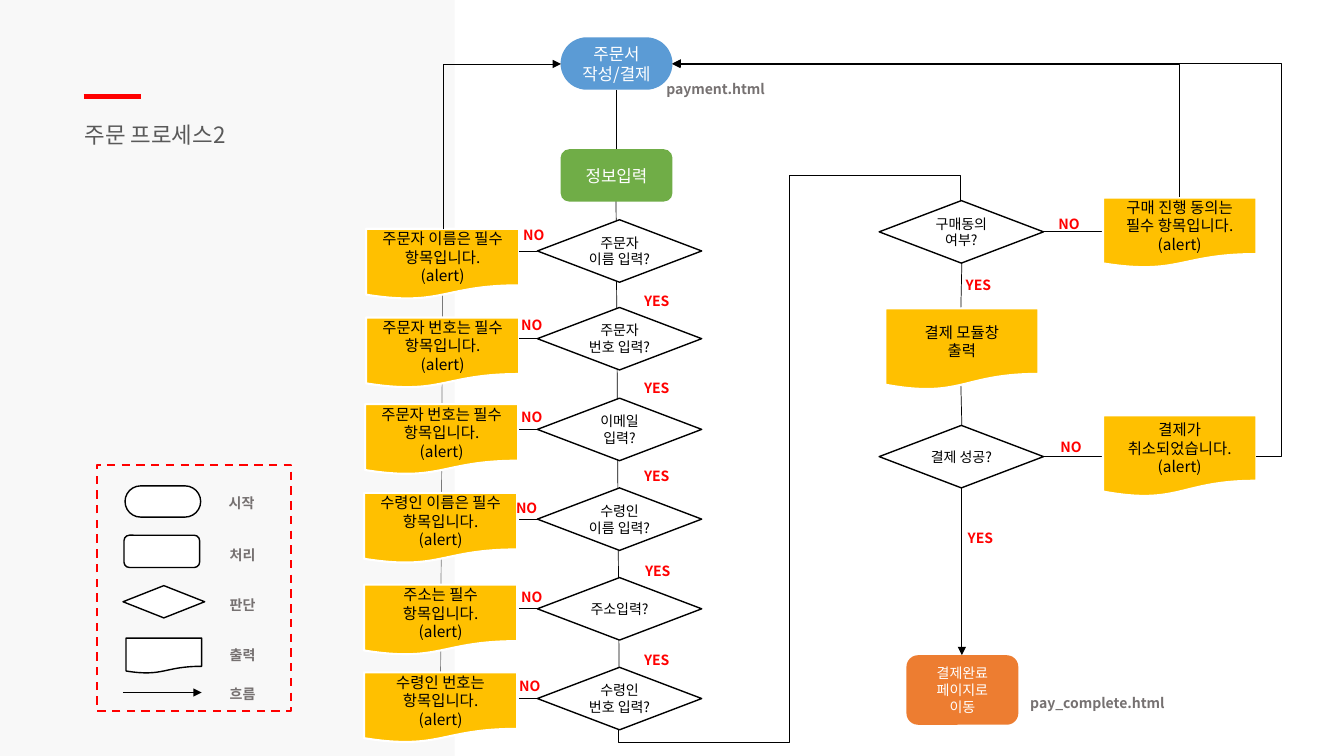
from dataclasses import dataclass

import lxml.etree
import pptx
import pptx.dml.color
import pptx.enum.dml
import pptx.enum.shapes
import pptx.enum.text
import pptx.oxml.ns
import pptx.shapes.connector
import pptx.slide
import pptx.text.text
import pptx.util

PX = 9144  # 100 px to the inch
FONT = "Noto Sans CJK KR"
BLACK, WHITE, RED, GREY, AMBER = "000000", "FFFFFF", "FF0000", "767171", "FFC000"
KIND = pptx.enum.shapes.MSO_SHAPE
ALIGN = pptx.enum.text.PP_ALIGN
ANCHOR = pptx.enum.text.MSO_ANCHOR
qn = pptx.oxml.ns.qn


@dataclass(frozen=True)
class Node:
    kind: KIND
    left: int
    top: int
    width: int
    height: int
    text: str = ""
    fill: str | None = WHITE
    outline: str | None = BLACK
    weight: float = 1
    size: int = 10
    color: str = BLACK
    corner: float | None = None


@dataclass(frozen=True)
class Label:
    text: str
    left: int
    top: int
    color: str = RED
    width: int = 126


@dataclass(frozen=True)
class Line:
    x1: int
    y1: int
    x2: int
    y2: int
    color: str = BLACK
    weight: float = 0.5
    arrow: bool = False


@dataclass(frozen=True)
class Elbow:
    """A bent connector: the line gives its corners before it is turned."""
    line: Line
    preset: str
    turn: int = 0
    adjust: tuple[int, ...] = ()


@dataclass(frozen=True)
class Check:
    """One input test: its diamond, the alert beside it and both answers."""
    question: str
    top: int
    alert: str
    alert_at: tuple[int, int]
    no_at: tuple[int, int]
    yes_at: tuple[int, int] | None


def px(n: int) -> pptx.util.Emu:
    return pptx.util.Emu(n * PX)


def rgb(color: str) -> pptx.dml.color.RGBColor:
    return pptx.dml.color.RGBColor.from_string(color)


def write(tf: pptx.text.text.TextFrame, text: str, size: int, color: str, bold: bool = False,
          align: ALIGN = ALIGN.LEFT, spacing: int | None = None) -> None:
    tf.word_wrap = True
    for i, line in enumerate(text.split("\n")):
        p = tf.add_paragraph() if i else tf.paragraphs[0]
        p.alignment = align
        if spacing:
            p.line_spacing = pptx.util.Pt(spacing)
        r = p.add_run()
        r.text = line
        r.font.size = pptx.util.Pt(size)
        r.font.bold = bold
        r.font.color.rgb = rgb(color)
        r.font.name = FONT
        lxml.etree.SubElement(r.font._element, qn("a:ea"), typeface=FONT)


def draw_node(s: pptx.slide.Slide, node: Node):
    sp = s.shapes.add_shape(node.kind, px(node.left), px(node.top), px(node.width), px(node.height))
    sp.shadow.inherit = False
    if node.corner is not None:
        sp.adjustments[0] = node.corner
    if node.fill:
        sp.fill.solid()
        sp.fill.fore_color.rgb = rgb(node.fill)
    else:
        sp.fill.background()
    if node.outline:
        sp.line.color.rgb = rgb(node.outline)
        sp.line.width = pptx.util.Pt(node.weight)
    else:
        sp.line.fill.background()
    if node.text:
        sp.text_frame.vertical_anchor = ANCHOR.MIDDLE
        write(sp.text_frame, node.text, node.size, node.color, align=ALIGN.CENTER)
    return sp


def draw_label(s: pptx.slide.Slide, label: Label) -> None:
    tb = s.shapes.add_textbox(px(label.left), px(label.top), px(label.width), px(27))
    tb.text_frame.auto_size = pptx.enum.text.MSO_AUTO_SIZE.SHAPE_TO_FIT_TEXT
    write(tb.text_frame, label.text, 10, label.color, bold=True, spacing=13)


def draw_line(s: pptx.slide.Slide, line: Line, bent: bool = False) -> pptx.shapes.connector.Connector:
    style = pptx.enum.shapes.MSO_CONNECTOR
    c = s.shapes.add_connector(style.ELBOW if bent else style.STRAIGHT,
                               px(line.x1), px(line.y1), px(line.x2), px(line.y2))
    c.line.color.rgb = rgb(line.color)
    c.line.width = pptx.util.Pt(line.weight)
    spPr = c._element.spPr
    if line.arrow:
        lxml.etree.SubElement(spPr.find(qn("a:ln")), qn("a:tailEnd"), type="triangle")
    lxml.etree.SubElement(spPr, qn("a:effectLst"))
    return c


def draw_elbow(s: pptx.slide.Slide, elbow: Elbow) -> None:
    spPr = draw_line(s, elbow.line, bent=True)._element.spPr
    if elbow.turn:
        spPr.find(qn("a:xfrm")).set("rot", str(elbow.turn * 60000))
    geom = spPr.find(qn("a:prstGeom"))
    geom.set("prst", elbow.preset)
    for i, value in enumerate(elbow.adjust, 1):
        lxml.etree.SubElement(geom.find(qn("a:avLst")), qn("a:gd"), name=f"adj{i}", fmla=f"val {value}")


def diamond(left: int, top: int, text: str) -> Node:
    return Node(KIND.DIAMOND, left, top, 163, 62, text)


def document(left: int, top: int, text: str, height: int = 70) -> Node:
    return Node(KIND.FLOWCHART_DOCUMENT, left, top, 152, height, text, AMBER, WHITE, 1.5, 11)


def step(left: int, top: int, height: int, text: str, fill: str, size: int = 12,
         corner: float | None = None) -> Node:
    return Node(KIND.ROUNDED_RECTANGLE, left, top, 111, height, text, fill, None,
                size=size, color=WHITE, corner=corner)


LEGEND = [
    Node(KIND.ROUNDED_RECTANGLE, 124, 482, 75, 31, corner=0.5),
    Node(KIND.ROUNDED_RECTANGLE, 123, 531, 75, 32),
    Node(KIND.DIAMOND, 122, 581, 81, 32),
    Node(KIND.FLOWCHART_DOCUMENT, 125, 633, 75, 35),
]
CHECKS = [
    Check("주문자\n이름 입력?", 218, "주문자 이름은 필수 항목입니다.", (363, 227), (509, 218), (629, 284)),
    Check("주문자\n번호 입력?", 305, "주문자 번호는 필수 항목입니다.", (363, 315), (507, 308), (629, 370)),
    Check("이메일\n입력?", 395, "주문자 번호는 필수 항목입니다.", (362, 401), (507, 399), (629, 458)),
    Check("수령인\n이름 입력?", 484, "수령인 이름은 필수 항목입니다.", (361, 489), (502, 489), (630, 552)),
    Check("주소입력?", 573, "주소는 필수 항목입니다.", (361, 580), (507, 578), (629, 640)),
    Check("수령인\n번호 입력?", 662, "수령인 번호는 항목입니다.", (361, 667), (505, 666), None),
]
NODES = [
    step(556, 37, 52, "주문서\n작성/결제", "5B9BD5", corner=0.5),
    step(556, 148, 52, "정보입력", "70AD47"),
    diamond(872, 199, "구매동의\n여부?"),
    document(878, 306, "결제 모듈창\n출력", 81),
    diamond(872, 422, "결제 성공?"),
    step(899, 650, 69, "결제완료\n페이지로\n이동", "ED7D31", 10),
    document(1094, 196, "구매 진행 동의는 필수 항목입니다.(alert)"),
    document(1094, 412, "결제가 취소되었습니다.\n(alert)", 81),
]
LINES = [
    Line(122, 687, 200, 687, weight=1, arrow=True),
    Line(611, 89, 611, 148),
    Line(611, 199, 614, 662),
    Line(954, 261, 953, 306),
    Line(953, 382, 954, 422),
    Line(954, 484, 954, 650, arrow=True),
    Line(1035, 230, 1094, 230),
    Line(1035, 453, 1094, 453),
]
ELBOWS = [
    Elbow(Line(580, 204, 416, 87, arrow=True), "bentConnector2", 90),
    Elbow(Line(1045, 631, 520, 292), "bentConnector5", 90, (-2400, 50000, 104800)),
    Elbow(Line(852, 381, 984, -122, arrow=True), "bentConnector2", 270),
    Elbow(Line(1246, 453, 667, 63, arrow=True), "bentConnector3", 0, (-4300,)),
]
LABELS = [
    Label("시작", 217, 484, GREY),
    Label("처리", 218, 536, GREY),
    Label("판단", 218, 586, GREY),
    Label("출력", 218, 635, GREY),
    Label("흐름", 218, 674, GREY),
    Label("payment.html", 651, 74, GREY, 142),
    Label("pay_complete.html", 1012, 683, GREY, 154),
    Label("NO", 1040, 208),
    Label("NO", 1042, 429),
    Label("YES", 948, 268),
    Label("YES", 950, 519),
]


def draw_heading(s: pptx.slide.Slide) -> None:
    panel = draw_node(s, Node(KIND.RECTANGLE, 0, 0, 451, 750, fill="F2F2F2", outline=None))
    tint = panel._element.spPr.find(qn("a:solidFill"))[0]
    lxml.etree.SubElement(tint, qn("a:alpha"), val="50000")
    title = s.shapes.title
    panel._element.addnext(title._element)
    title.left, title.top, title.width, title.height = px(74), px(111), px(243), px(38)
    title.text_frame.vertical_anchor = ANCHOR.TOP
    title.text_frame.auto_size = pptx.enum.text.MSO_AUTO_SIZE.SHAPE_TO_FIT_TEXT
    write(title.text_frame, "주문 프로세스2", 16, "595959", spacing=22)
    draw_line(s, Line(83, 96, 140, 96, RED, 3.5))


def draw_check(s: pptx.slide.Slide, check: Check) -> None:
    draw_node(s, document(*check.alert_at, f"{check.alert}\n(alert)"))
    draw_line(s, Line(533, check.top + 31, 515, check.top + 31))
    draw_node(s, diamond(533, check.top, check.question))
    draw_label(s, Label("NO", *check.no_at))
    if check.yes_at:
        draw_label(s, Label("YES", *check.yes_at))


def main() -> None:
    prs = pptx.Presentation()
    prs.slide_width, prs.slide_height = px(1333), px(750)
    s = prs.slides.add_slide(prs.slide_layouts[5])
    draw_line(s, Line(439, 292, 437, 667))
    draw_heading(s)
    frame = draw_node(s, Node(KIND.RECTANGLE, 96, 461, 193, 244, fill=None, outline=RED, weight=1.5))
    frame.line.dash_style = pptx.enum.dml.MSO_LINE.DASH
    for line in LINES:
        draw_line(s, line)
    for node in LEGEND + NODES:
        draw_node(s, node)
    for check in CHECKS:
        draw_check(s, check)
    for elbow in ELBOWS:
        draw_elbow(s, elbow)
    for label in LABELS:
        draw_label(s, label)
    prs.save("out.pptx")


if __name__ == "__main__":
    main()
